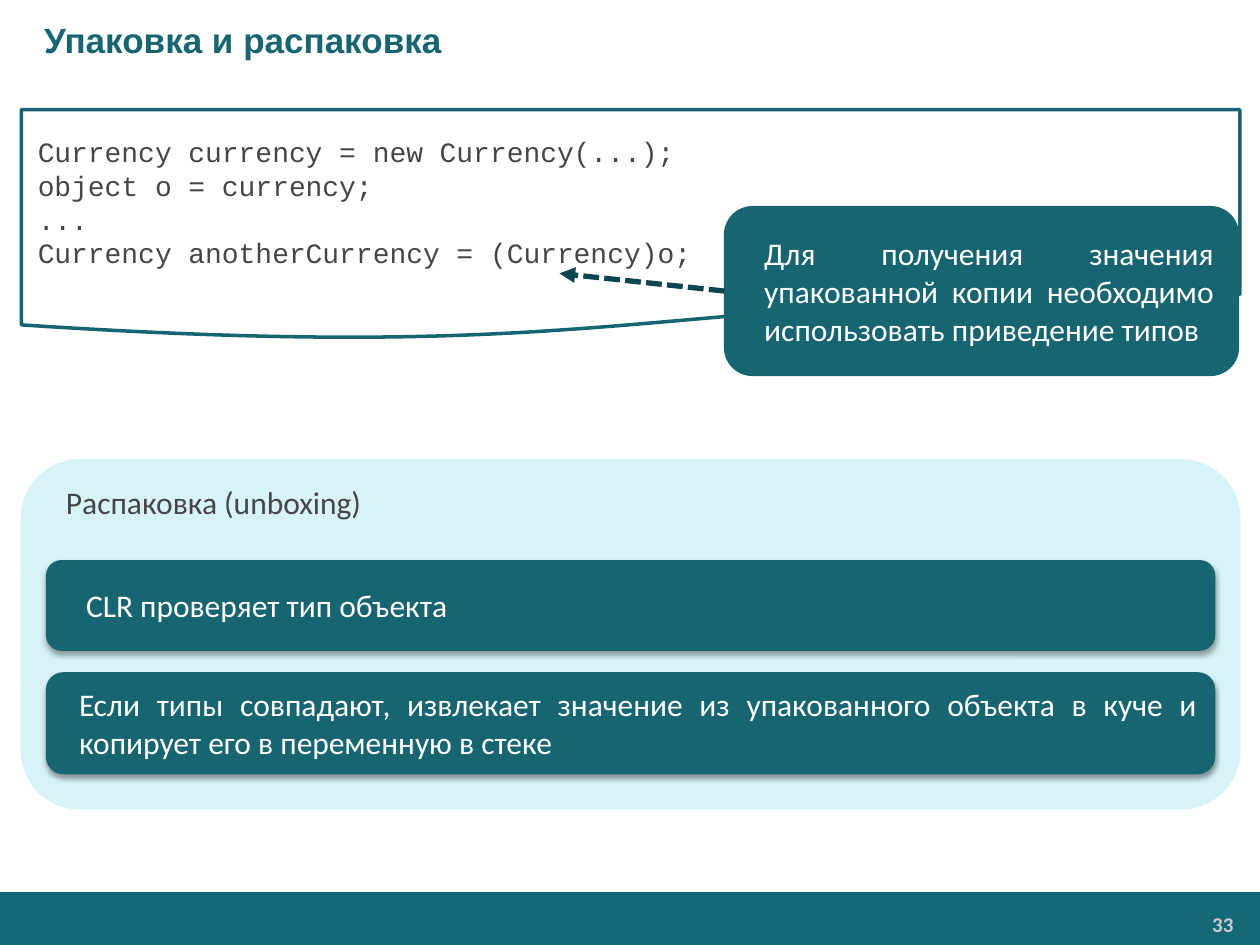
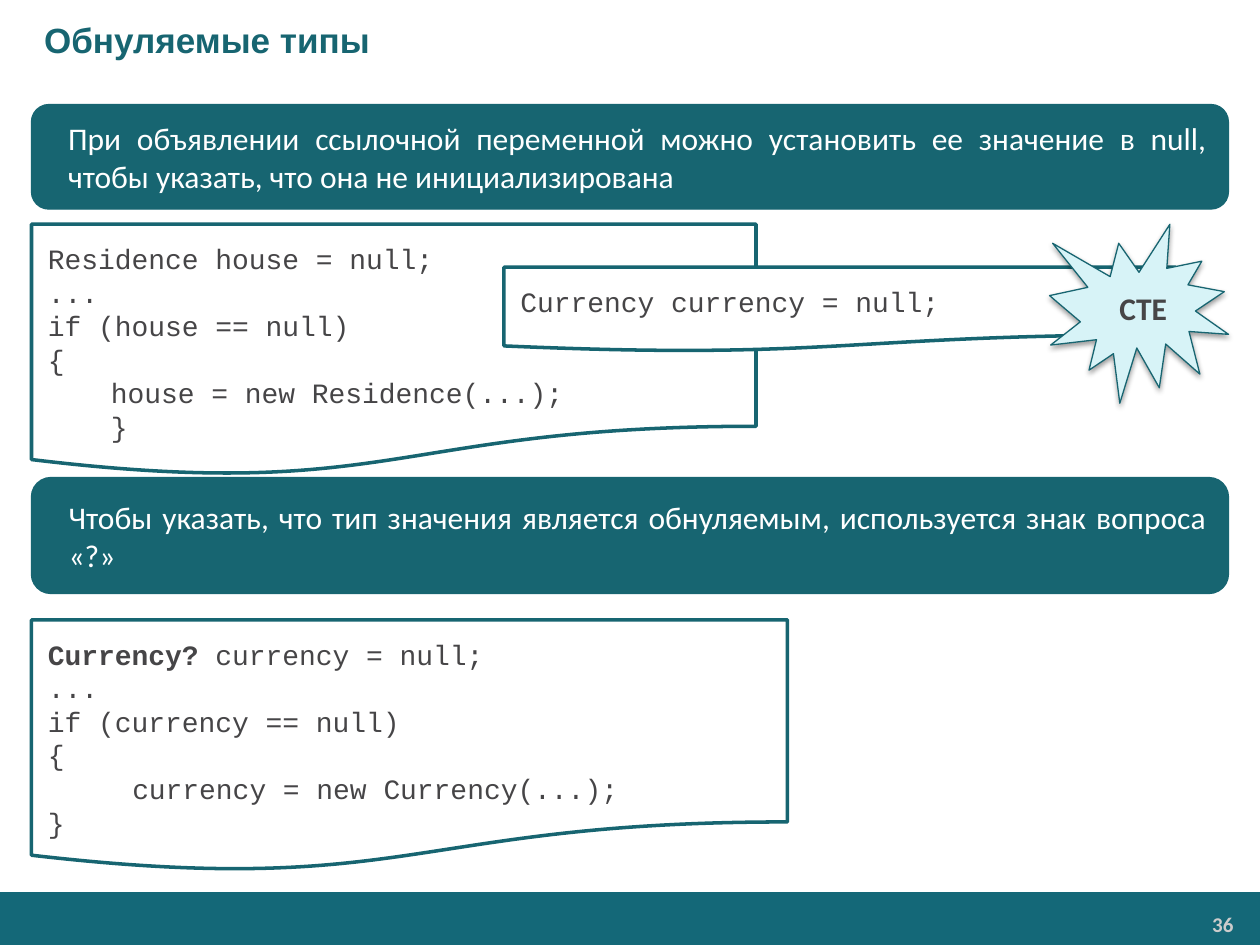
"""Builds two slides about unboxing and nullable types."""
from dataclasses import dataclass

from lxml.etree import SubElement
from pptx import Presentation
from pptx.dml.color import RGBColor
from pptx.enum.dml import MSO_LINE as Dash
from pptx.enum.shapes import MSO_CONNECTOR as Link, MSO_SHAPE as Preset
from pptx.enum.text import MSO_ANCHOR as Anchor, MSO_AUTO_SIZE as Fit, PP_ALIGN as Align
from pptx.oxml.ns import qn
from pptx.util import Pt

PX = 9144
SLIDE_SIZE = (1000, 750)
TITLE_ONLY = 5


class Theme:
    teal, dark_teal, pale, band = "176571", "0D4650", "D7F3F7", "146878"
    white, ink, muted = "FFFFFF", "464547", "CCCCCC"
    heading_font, body_font, code_font = "Arial", "Calibri", "Courier New"
    title_size, body_size, code_size, number_size = 20, 18, 16, 12
    thin, outline, arrow = 0.75, 2, 3
    title_indent, body_indent, code_indent, tab_indent = 25, 12, 50, 67
    title_at = (0, 0, 1000, 63)
    band_at = (0, 708, 1001, 43)
    number_at = (823, 719, 163, 28)
    number_insets = (7, 4, 7, 4)


@dataclass
class Style:
    preset: Preset = Preset.ROUNDED_RECTANGLE
    fill: str = Theme.teal
    border: str = Theme.teal
    border_width: float = Theme.thin
    ink: str = Theme.white
    font: str = Theme.body_font
    size: int = Theme.body_size
    bold: bool = False
    align: Align = Align.JUSTIFY
    anchor: Anchor = Anchor.MIDDLE
    insets: tuple = (13, 6, 13, 6)
    shadow: bool = False


CODE_LOOK = dict(preset=Preset.FLOWCHART_DOCUMENT, fill=Theme.white,
                 border_width=Theme.outline, ink=Theme.ink,
                 font=Theme.code_font, size=Theme.code_size, align=Align.LEFT)
STYLES = {
    "callout": Style(),
    "panel": Style(fill=Theme.pale, border=Theme.pale, ink=Theme.ink,
                   anchor=Anchor.TOP, insets=(10, 5, 10, 5)),
    "step": Style(insets=(10, 5, 10, 5), shadow=True),
    "code": Style(**CODE_LOOK),
    "low code": Style(**CODE_LOOK, insets=(13, 33, 13, 6)),
    "burst": Style(preset=Preset.EXPLOSION1, fill=Theme.pale, ink=Theme.ink,
                   bold=True, shadow=True),
}


def prose(text, indent=Theme.body_indent):
    return [(indent, [(text, False)])]


def code(*lines):
    return [(0, [(line, False)]) if isinstance(line, str) else line for line in lines]


PAGES = [
    {
        "title": "Упаковка и распаковка",
        "number": "33",
        "group": [
            ("panel", (17, 365, 967, 277), prose("Распаковка (unboxing)")),
            ("step", (37, 534, 927, 80), prose(
                "Если типы совпадают, извлекает значение из упакованного объекта "
                "в куче и копирует его в переменную в стеке")),
            ("step", (37, 445, 927, 71), prose("CLR проверяет тип объекта", 18)),
        ],
        "boxes": [
            ("code", (17, 87, 967, 183), code(
                "Currency currency = new Currency(...);",
                "object o = currency;",
                "...",
                "Currency anotherCurrency = (Currency)o;")),
            ("callout", (575, 164, 408, 134), prose(
                "Для получения значения упакованной копии необходимо "
                "использовать приведение типов")),
        ],
        "arrows": [(575, 231, 444, 217)],
    },
    {
        "title": "Обнуляемые типы",
        "number": "36",
        "group": [],
        "boxes": [
            ("callout", (25, 83, 950, 83), prose(
                "При объявлении ссылочной переменной можно установить ее значение "
                "в null, чтобы указать, что она не инициализирована")),
            ("low code", (25, 178, 575, 200), code(
                "Residence house = null;",
                "...",
                "if (house == null)",
                "{",
                (Theme.code_indent, [("house = new Residence(...);", False)]),
                (Theme.code_indent, [("}", False)]))),
            ("code", (400, 212, 533, 67), code("Currency currency = null;")),
            ("burst", (833, 178, 142, 142), prose("CTE")),
            ("low code", (25, 492, 600, 200), code(
                (0, [("Currency? ", True), ("currency = null;", False)]),
                "...",
                "if (currency == null)",
                "{",
                (Theme.tab_indent, [("currency = new Currency(...);", False)]),
                "}")),
            ("callout", (25, 379, 950, 92), prose(
                "Чтобы указать, что тип значения является обнуляемым, "
                "используется знак вопроса «?»")),
        ],
        "arrows": [],
    },
]


def emu(lengths):
    return [length * PX for length in lengths]


def color(code_value):
    return RGBColor.from_string(code_value)


def write(frame, paragraphs, style):
    frame.word_wrap = True
    frame.auto_size = Fit.NONE
    frame.vertical_anchor = style.anchor
    (frame.margin_left, frame.margin_top,
     frame.margin_right, frame.margin_bottom) = emu(style.insets)
    for index, (indent, spans) in enumerate(paragraphs):
        para = frame.add_paragraph() if index else frame.paragraphs[0]
        para.alignment = style.align
        properties = para._p.get_or_add_pPr()
        properties.set("marL", str(indent * PX))
        properties.set("indent", "0")
        for text, bold in spans:
            span = para.add_run()
            span.text = text
            font = span.font
            font.name, font.size, font.bold = style.font, Pt(style.size), bold or style.bold
            font.color.rgb = color(style.ink)


def add_shadow(box):
    effects = box.element.spPr.find(qn("a:effectLst"))
    shadow = SubElement(effects, qn("a:outerShdw"), blurRad="40000", dist="20000",
                        dir="5400000", rotWithShape="0")
    tint = SubElement(shadow, qn("a:srgbClr"), val="000000")
    SubElement(tint, qn("a:alpha"), val="38000")


def add_box(shapes, style_name, place, paragraphs):
    style = STYLES[style_name]
    box = shapes.add_shape(style.preset, *emu(place))
    box.fill.solid()
    box.fill.fore_color.rgb = color(style.fill)
    box.line.color.rgb = color(style.border)
    box.line.width = Pt(style.border_width)
    box.shadow.inherit = False
    if style.shadow:
        add_shadow(box)
    write(box.text_frame, paragraphs, style)


def add_arrow(page, ends):
    arrow = page.shapes.add_connector(Link.STRAIGHT, *emu(ends))
    arrow.line.color.rgb = color(Theme.dark_teal)
    arrow.line.width = Pt(Theme.arrow)
    arrow.line.dash_style = Dash.SQUARE_DOT
    SubElement(arrow.line._get_or_add_ln(), qn("a:tailEnd"), type="triangle")
    SubElement(arrow.element.spPr, qn("a:effectLst"))


def add_title(page, text):
    title = page.shapes.title
    title.left, title.top, title.width, title.height = emu(Theme.title_at)
    style = Style(ink=Theme.teal, font=Theme.heading_font, size=Theme.title_size,
                  bold=True, align=Align.LEFT, insets=(10, 5, 10, 5))
    write(title.text_frame, prose(text, Theme.title_indent), style)


def add_number(page, text):
    box = page.shapes.add_textbox(*emu(Theme.number_at))
    style = Style(ink=Theme.muted, size=Theme.number_size, bold=True, align=Align.RIGHT,
                  anchor=Anchor.TOP, insets=Theme.number_insets)
    write(box.text_frame, prose(text, 0), style)


def move_band_to_layout(page):
    band = page.shapes.add_shape(Preset.RECTANGLE, *emu(Theme.band_at))
    band.fill.solid()
    band.fill.fore_color.rgb = color(Theme.band)
    band.line.fill.background()
    band.shadow.inherit = False
    band.element.nvSpPr.cNvPr.set("id", "99")
    page.slide_layout.shapes.element.append(band.element)


def main():
    deck = Presentation()
    deck.slide_width, deck.slide_height = emu(SLIDE_SIZE)
    layout = deck.slide_layouts[TITLE_ONLY]
    for index, content in enumerate(PAGES):
        page = deck.slides.add_slide(layout)
        if index == 0:
            move_band_to_layout(page)
        add_title(page, content["title"])
        add_number(page, content["number"])
        if content["group"]:
            group = page.shapes.add_group_shape()
            for item in content["group"]:
                add_box(group.shapes, *item)
        for item in content["boxes"]:
            add_box(page.shapes, *item)
        for ends in content["arrows"]:
            add_arrow(page, ends)
    deck.save("out.pptx")


if __name__ == "__main__":
    main()
